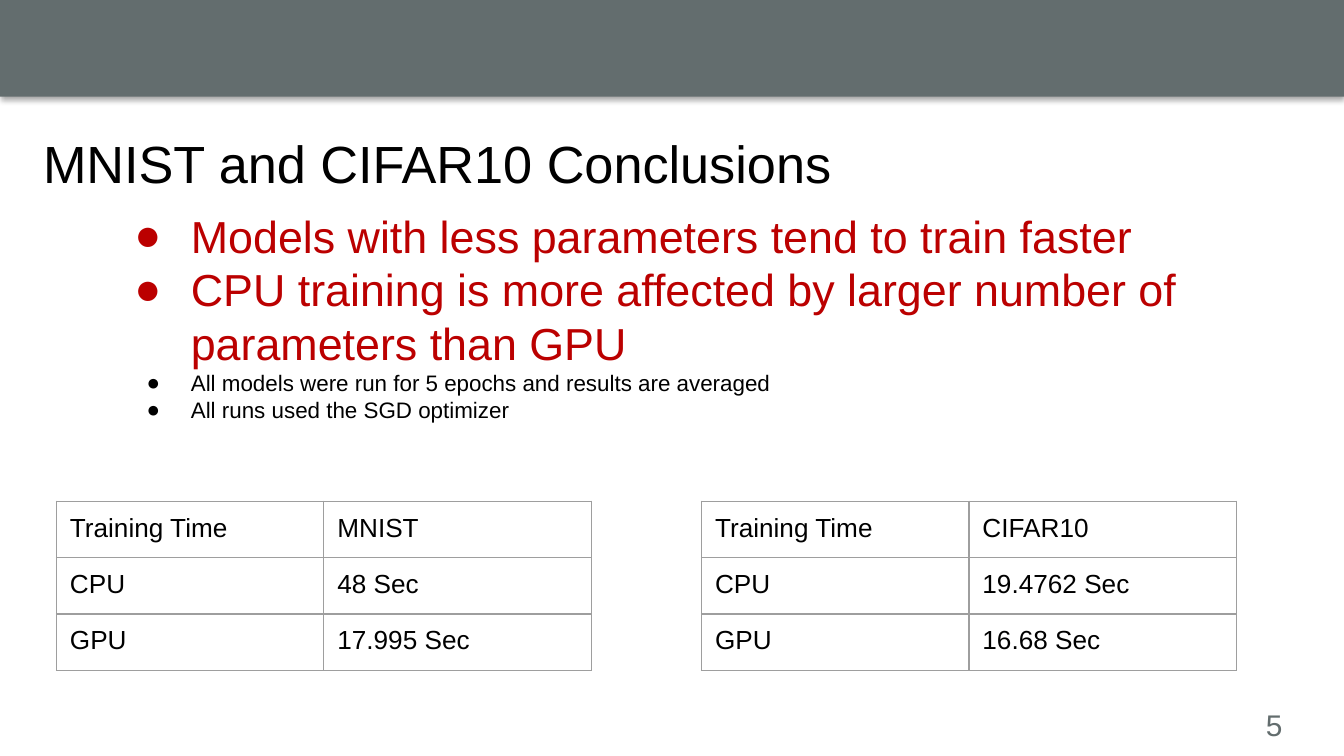
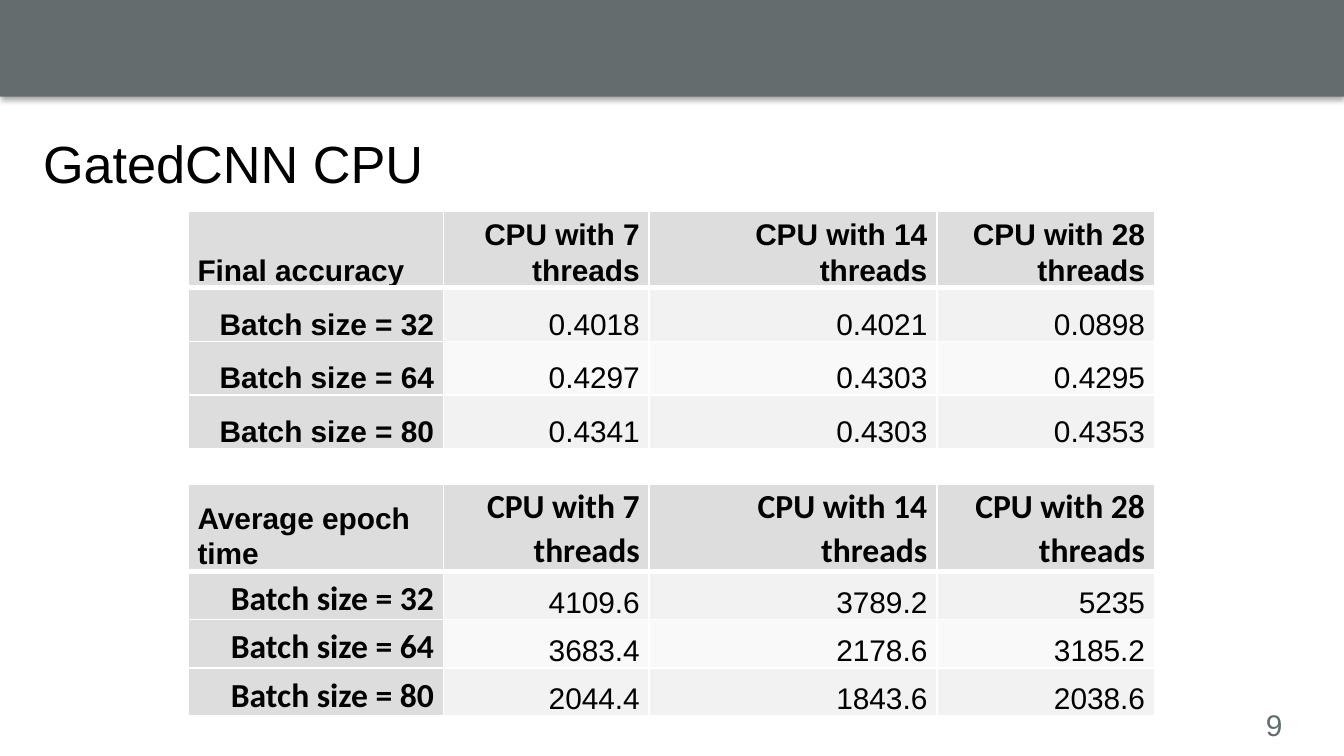
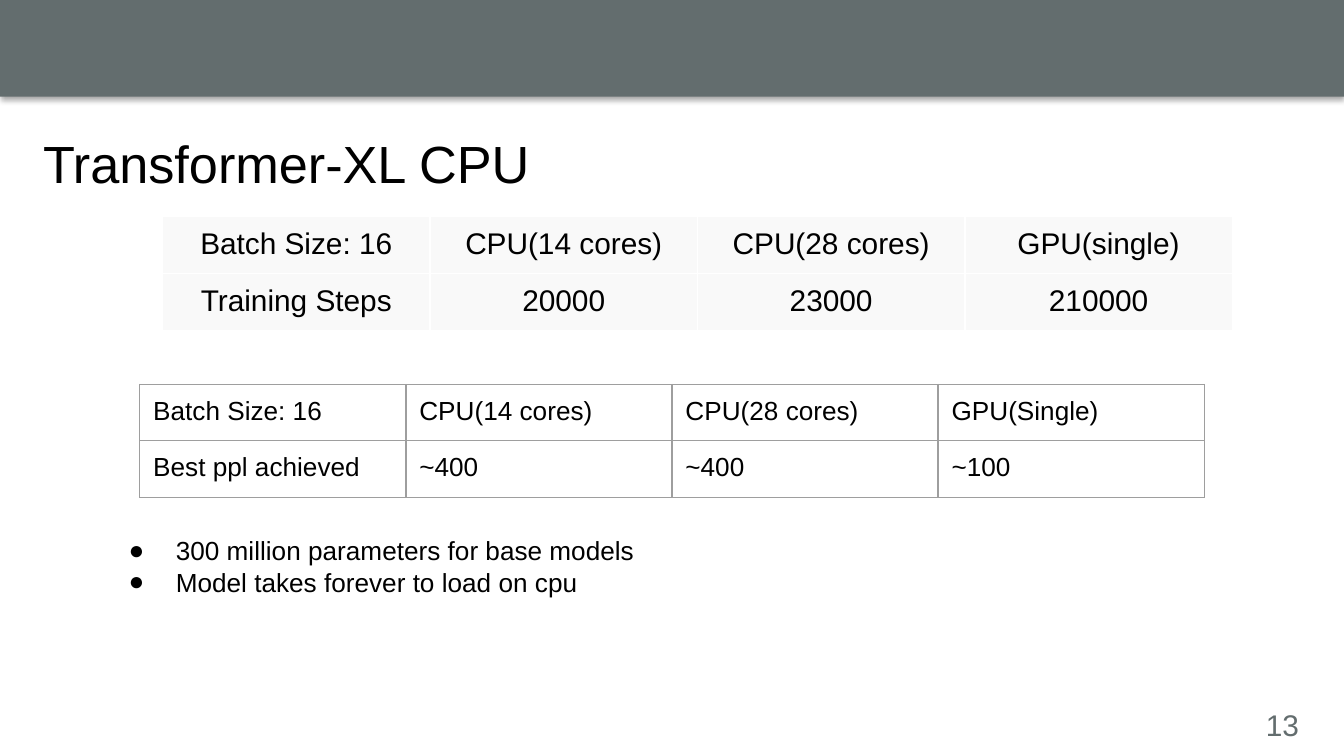
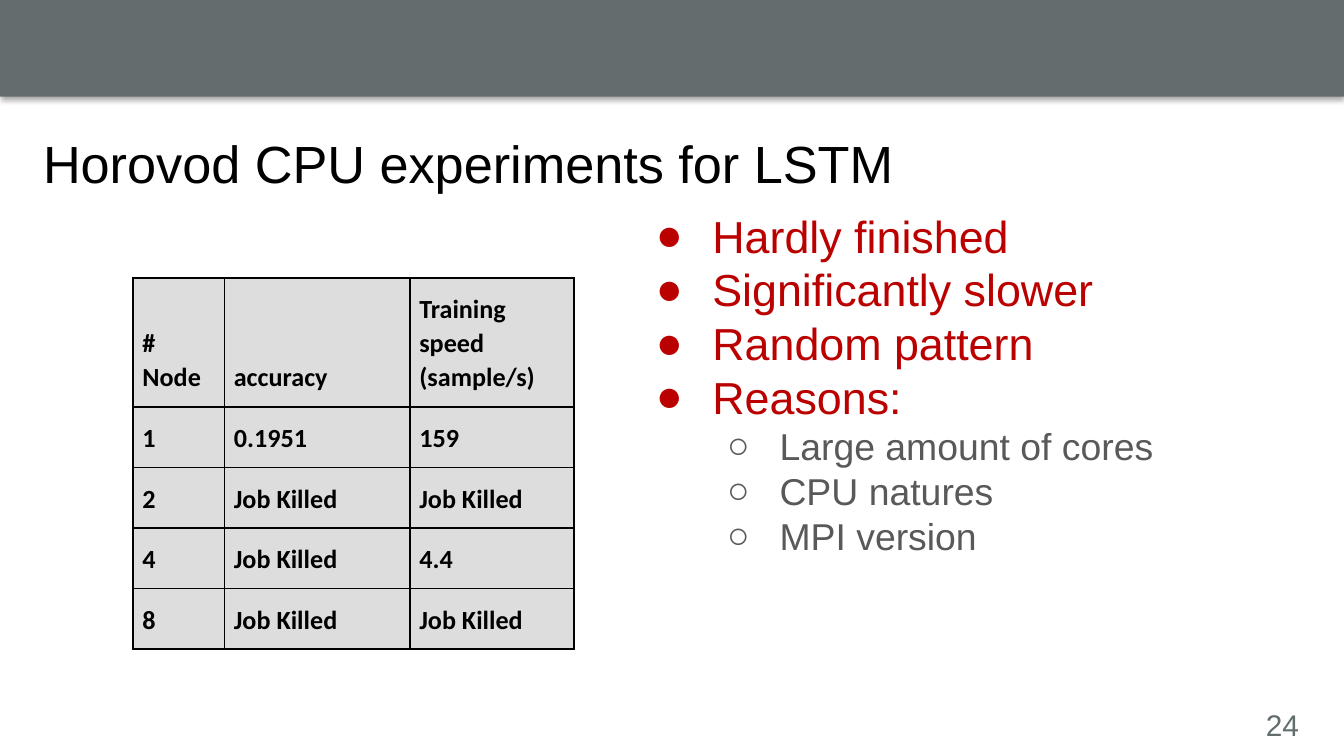
"""Build four slides on the training speed of neural networks on CPU and GPU."""
from dataclasses import dataclass, replace

from lxml.etree import SubElement
from pptx import Presentation
from pptx.dml.color import RGBColor
from pptx.enum.shapes import MSO_SHAPE
from pptx.enum.text import MSO_ANCHOR, MSO_AUTO_SIZE, PP_ALIGN
from pptx.oxml import parse_xml
from pptx.oxml.ns import nsdecls, qn
from pptx.util import Inches, Pt

COLORS = {
    "band": "636D6E",
    "text": "000000",
    "key": "BB0000",
    "detail": "595959",
    "rule": "9E9E9E",
    "white": "FFFFFF",
    "header": "DDDDDD",
    "odd": "F2F2F2",
    "even": "F9F9F9",
}
TITLE_AND_BODY, TITLE_ONLY = 1, 5
SLIDE_WIDTH = 10
SLIDE_HEIGHT = SLIDE_WIDTH * 9 / 16


@dataclass(frozen=True)
class CellStyle:
    size: int = 14
    font: str = "Arial"
    bold: bool = False
    align: PP_ALIGN = PP_ALIGN.LEFT
    anchor: MSO_ANCHOR = MSO_ANCHOR.TOP
    spacing: float = 1.0
    margin_x: float = 0.1
    margin_y: float = 0.09
    fill: str = ""
    border: str = "rule"
    border_width: float = 0.75
    top_width: float = 0
    bottom_width: float = 0


@dataclass(frozen=True)
class BulletStyle:
    size: int
    color: str
    indent: float
    margin: float = 0.5
    level: int = 0
    mark: str = "●"


PLAIN = CellStyle()
RESULT = CellStyle(size=16, align=PP_ALIGN.RIGHT, anchor=MSO_ANCHOR.BOTTOM, spacing=1.07,
                   margin_x=0.07, margin_y=0, border="white", border_width=1)
STEPS = replace(RESULT, align=PP_ALIGN.CENTER, anchor=MSO_ANCHOR.TOP, margin_y=0.07, fill="even")
NODES = CellStyle(font="Calibri", bold=True, anchor=MSO_ANCHOR.BOTTOM, spacing=1.07,
                  margin_x=0.07, margin_y=0.1, fill="header", border="text", border_width=1)

KEY_POINT = BulletStyle(24, "key", 0.42)
SETUP_NOTE = BulletStyle(12, "text", 0.33)
MODEL_NOTE = BulletStyle(14, "text", 0.35)
REASON = BulletStyle(20, "detail", 0.39, margin=1, level=1, mark="○")


def rgb(name):
    return RGBColor.from_string(COLORS[name])


def set_font(paragraph, size, color, font="Arial", bold=False):
    paragraph.font.size = Pt(size)
    paragraph.font.name = font
    paragraph.font.bold = bold
    paragraph.font.color.rgb = rgb(color)


def place(shape, left, top, width, height):
    shape.left, shape.top = Inches(left), Inches(top)
    shape.width, shape.height = Inches(width), Inches(height)


def add_band(slide):
    band = slide.shapes.add_shape(
        MSO_SHAPE.RECTANGLE, Inches(0), Inches(-0.03), Inches(SLIDE_WIDTH), Inches(0.75))
    band.fill.solid()
    band.fill.fore_color.rgb = rgb("band")
    band.line.fill.background()
    band.shadow.inherit = False
    effects = band.fill._xPr.find(qn("a:effectLst"))
    effects.append(parse_xml(
        f'<a:outerShdw {nsdecls("a")} blurRad="{Pt(3.1)}" dist="{Pt(1.8)}" dir="5400000" '
        f'rotWithShape="0"><a:srgbClr val="{COLORS["text"]}"><a:alpha val="35000"/>'
        '</a:srgbClr></a:outerShdw>'))


def add_page_number(slide, number):
    footer = slide.shapes.add_textbox(Inches(9.32), Inches(5.21), Inches(0.48), Inches(0.37))
    footer.text_frame.word_wrap = True
    footer.text_frame.text = str(number)
    set_font(footer.text_frame.paragraphs[0], 16, "band")


def add_page(deck, layout, title, number):
    slide = deck.slides.add_slide(deck.slide_layouts[layout])
    add_band(slide)
    add_page_number(slide, number)
    heading = slide.shapes.title
    place(heading, 0.22, 0.92, 9.66, 0.58)
    heading.text_frame.text = title
    heading.text_frame.auto_size = MSO_AUTO_SIZE.NONE
    heading.text_frame.vertical_anchor = MSO_ANCHOR.MIDDLE
    paragraph = heading.text_frame.paragraphs[0]
    paragraph.alignment = PP_ALIGN.LEFT
    set_font(paragraph, 28, "text")
    return slide


def write_bullets(frame, points, first_gap=0):
    frame.word_wrap = True
    frame.text = "\n".join(text for text, _ in points)
    for index, (paragraph, (_, style)) in enumerate(zip(frame.paragraphs, points)):
        paragraph.level = style.level
        paragraph.space_before = Pt(0 if index else first_gap)
        properties = paragraph._p.get_or_add_pPr()
        properties.set("marL", str(Inches(style.margin)))
        properties.set("indent", str(-Inches(style.indent)))
        bullet_color = SubElement(properties, qn("a:buClr"))
        SubElement(bullet_color, qn("a:srgbClr"), val=COLORS[style.color])
        SubElement(properties, qn("a:buFont"), typeface="Arial")
        SubElement(properties, qn("a:buChar"), char=style.mark)
        set_font(paragraph, style.size, style.color)


def fill_body(slide, left, width, points):
    body = slide.placeholders[1]
    place(body, left, 1.5, width, 3.71)
    body.line.color.rgb = rgb("white")
    body.line.width = Pt(0.75)
    body.text_frame.auto_size = MSO_AUTO_SIZE.NONE
    write_bullets(body.text_frame, points, first_gap=4.8)


def set_borders(cell, style):
    properties = cell._tc.get_or_add_tcPr()
    widths = {"L": 0, "R": 0, "T": style.top_width, "B": style.bottom_width}
    for side, width in widths.items():
        edge = SubElement(properties, qn(f"a:ln{side}"), w=str(Pt(width or style.border_width)))
        paint = SubElement(edge, qn("a:solidFill"))
        SubElement(paint, qn("a:srgbClr"), val=COLORS[style.border])


def format_cell(cell, text, style):
    cell.text = text
    cell.vertical_anchor = style.anchor
    cell.margin_left = cell.margin_right = Inches(style.margin_x)
    cell.margin_top = cell.margin_bottom = Inches(style.margin_y)
    paragraph = cell.text_frame.paragraphs[0]
    paragraph.alignment = style.align
    paragraph.line_spacing = style.spacing
    set_font(paragraph, style.size, "text", style.font, style.bold)
    set_borders(cell, style)
    if style.fill:
        cell.fill.solid()
        cell.fill.fore_color.rgb = rgb(style.fill)
    else:
        cell.fill.background()


def add_grid(slide, left, top, widths, heights, rows, style_at):
    """Add a table whose cell styles come from style_at(row, column)."""
    table = slide.shapes.add_table(
        len(rows), len(widths), Inches(left), Inches(top),
        Inches(sum(widths)), Inches(sum(heights))).table
    table.first_row = table.horz_banding = False
    for column, width in zip(table.columns, widths):
        column.width = Inches(width)
    for row, height in zip(table.rows, heights):
        row.height = Inches(height)
    for r, texts in enumerate(rows):
        for c, text in enumerate(texts):
            format_cell(table.cell(r, c), text, style_at(r, c))


def add_result_table(slide, top, heights, corner, results, label_font, label_size):
    """Add a table of results by batch size and thread count."""
    rows = [[corner] + [f"CPU with {threads} threads" for threads in (7, 14, 28)]]
    rows += [[f"Batch size = {size}"] + values for size, values in zip((32, 64, 80), results)]

    def style_at(r, c):
        style = replace(RESULT, fill="odd" if r % 2 else "even",
                        top_width=3 if r == 1 else 0, bottom_width=0 if r else 3)
        if r == c == 0:
            return replace(style, bold=True, fill="header", align=PP_ALIGN.LEFT)
        if r == 0 or c == 0:
            return replace(style, bold=True, fill="header", font=label_font, size=label_size)
        return style

    add_grid(slide, 1.4, top, [1.9, 1.53, 2.14, 1.62], heights, rows, style_at)


def add_conclusions(deck):
    slide = add_page(deck, TITLE_AND_BODY, "MNIST and CIFAR10 Conclusions", 5)
    fill_body(slide, 0.82, 9, [
        ("Models with less parameters tend to train faster", KEY_POINT),
        ("CPU training is more affected by larger number of parameters than GPU", KEY_POINT),
        ("All models were run for 5 epochs and results are averaged", SETUP_NOTE),
        ("All runs used the SGD optimizer", SETUP_NOTE),
    ])
    timings = [(0.42, "MNIST", "48 Sec", "17.995 Sec"),
               (5.22, "CIFAR10", "19.4762 Sec", "16.68 Sec")]
    for left, dataset, cpu, gpu in timings:
        rows = [["Training Time", dataset], ["CPU", cpu], ["GPU", gpu]]
        add_grid(slide, left, 3.73, [1.99] * 2, [0.42] * 3, rows, lambda r, c: PLAIN)


def add_gated_cnn(deck):
    slide = add_page(deck, TITLE_ONLY, "GatedCNN CPU", 9)
    accuracy = [["0.4018", "0.4021", "0.0898"],
                ["0.4297", "0.4303", "0.4295"],
                ["0.4341", "0.4303", "0.4353"]]
    epoch_time = [["4109.6", "3789.2", "5235"],
                  ["3683.4", "2178.6", "3185.2"],
                  ["2044.4", "1843.6", "2038.6"]]
    add_result_table(slide, 1.57, [0.57] + [0.4] * 3, "Final accuracy", accuracy, "Arial", 16)
    add_result_table(slide, 3.6, [0.65] + [0.36] * 3, "Average epoch time", epoch_time,
                     "Calibri", 18)


def add_transformer(deck):
    slide = add_page(deck, TITLE_ONLY, "Transformer-XL CPU", 13)
    header = ["Batch Size: 16", "CPU(14 cores)", "CPU(28 cores)"]
    steps = [header + ["GPU(single)"], ["Training Steps", "20000", "23000", "210000"]]
    perplexity = [header + ["GPU(Single)"], ["Best ppl achieved", "~400", "~400", "~100"]]
    add_grid(slide, 1.21, 1.61, [1.99] * 4, [0.42] * 2, steps, lambda r, c: STEPS)
    notes = slide.shapes.add_textbox(Inches(0.71), Inches(3.88), Inches(8.8), Inches(1.3))
    notes.text_frame.margin_top = notes.text_frame.margin_bottom = Inches(0.1)
    write_bullets(notes.text_frame, [
        ("300 million parameters for base models", MODEL_NOTE),
        ("Model takes forever to load on cpu", MODEL_NOTE),
    ])
    add_grid(slide, 1.04, 2.86, [1.98] * 4, [0.42] * 2, perplexity, lambda r, c: PLAIN)


def add_horovod(deck):
    slide = add_page(deck, TITLE_AND_BODY, "Horovod CPU experiments for LSTM", 24)
    findings = ["Hardly finished", "Significantly slower", "Random pattern", "Reasons:"]
    reasons = ["Large amount of cores", "CPU natures", "MPI version"]
    fill_body(slide, 4.7, 5.12, [(text, KEY_POINT) for text in findings]
              + [(text, REASON) for text in reasons])
    killed = "Job Killed"
    rows = [["# Node", "accuracy", "Training speed (sample/s)"],
            ["1", "0.1951", "159"],
            ["2", killed, killed],
            ["4", killed, "4.4"],
            ["8", killed, killed]]
    add_grid(slide, 0.99, 2.07, [0.68, 1.38, 1.22], [0.96] + [0.45] * 4, rows,
             lambda r, c: NODES)


def main():
    deck = Presentation()
    deck.slide_width, deck.slide_height = Inches(SLIDE_WIDTH), Inches(SLIDE_HEIGHT)
    add_conclusions(deck)
    add_gated_cnn(deck)
    add_transformer(deck)
    add_horovod(deck)
    deck.save("out.pptx")


main()
